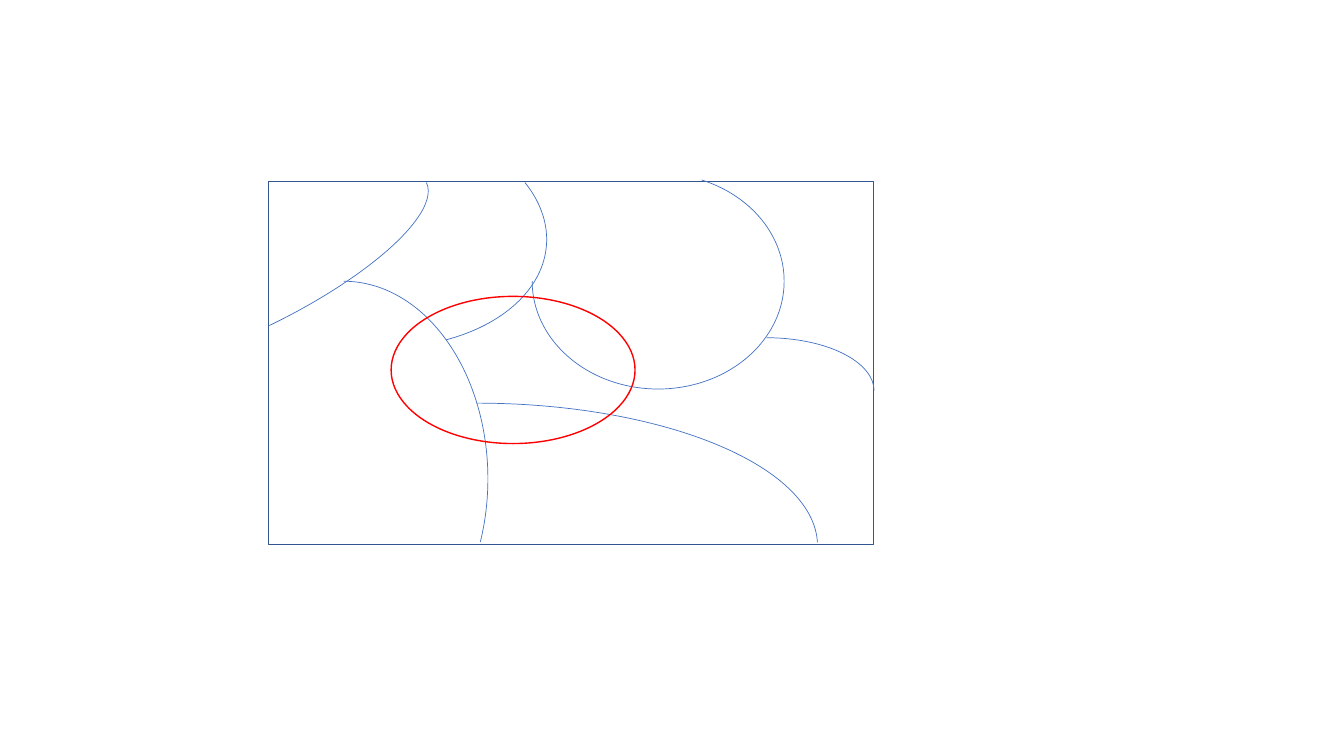
from pptx import Presentation
from pptx.dml.color import RGBColor
from pptx.enum.shapes import MSO_SHAPE
from pptx.oxml.ns import qn
from pptx.util import Inches, Pt

RECTANGLE, ARC, OVAL = MSO_SHAPE.RECTANGLE, MSO_SHAPE.ARC, MSO_SHAPE.OVAL
COLORS = {"frame": "325491", "curve": "4472C4", "highlight": "FF0000"}
BLANK_LAYOUT = 6

presentation = Presentation()
presentation.slide_width = Inches(13.33)
presentation.slide_height = Inches(7.5)
slide = presentation.slides.add_slide(presentation.slide_layouts[BLANK_LAYOUT])

# Grid of 100 columns by 100 rows
column = presentation.slide_width / 100
row = presentation.slide_height / 100


def add_outline(kind, box, color, line_width=1):
    """Add an unfilled shape; box is left, top, width, height on the grid."""
    left, top, width, height = box
    shape = slide.shapes.add_shape(
        kind, round(left * column), round(top * row),
        round(width * column), round(height * row))
    shape.shadow.inherit = False
    shape.fill.background()
    shape.line.color.rgb = RGBColor.from_string(COLORS[color])
    shape.line.width = Pt(line_width)
    return shape


# Frame around the regions
add_outline(RECTANGLE, (20, 24, 45, 48), "frame")

# Region borders: box, rotation, flipped both ways, start and end angle
QUARTER = (162, 0)
borders = [
    ((13.58, 8.93, 9, 53.87), 64.2, False, QUARTER),
    ((14.85, 37.2, 21.45, 52.27), 0, False, (162, 14.9)),
    ((19.13, 7.6, 17.18, 46.13), 274.5, True, (148.55, 192.78)),
    ((39.6, 22.93, 18.75, 28.53), 0, True, (67.95, 0)),
    ((49.05, 44.67, 15.98, 14), 0, False, QUARTER),
    ((10.05, 53.33, 50.78, 37.73), 0, False, (162, 215.67)),
]
for box, rotation, flipped, angles in borders:
    arc = add_outline(ARC, box, "curve", line_width=0.5)
    arc.rotation = rotation
    arc.adjustments[0], arc.adjustments[1] = angles
    if flipped:
        transform = arc.element.spPr.find(qn("a:xfrm"))
        transform.set("flipH", "1")
        transform.set("flipV", "1")

# Highlighted area
add_outline(OVAL, (29.1, 39.2, 18.15, 19.47), "highlight")

presentation.save("out.pptx")
